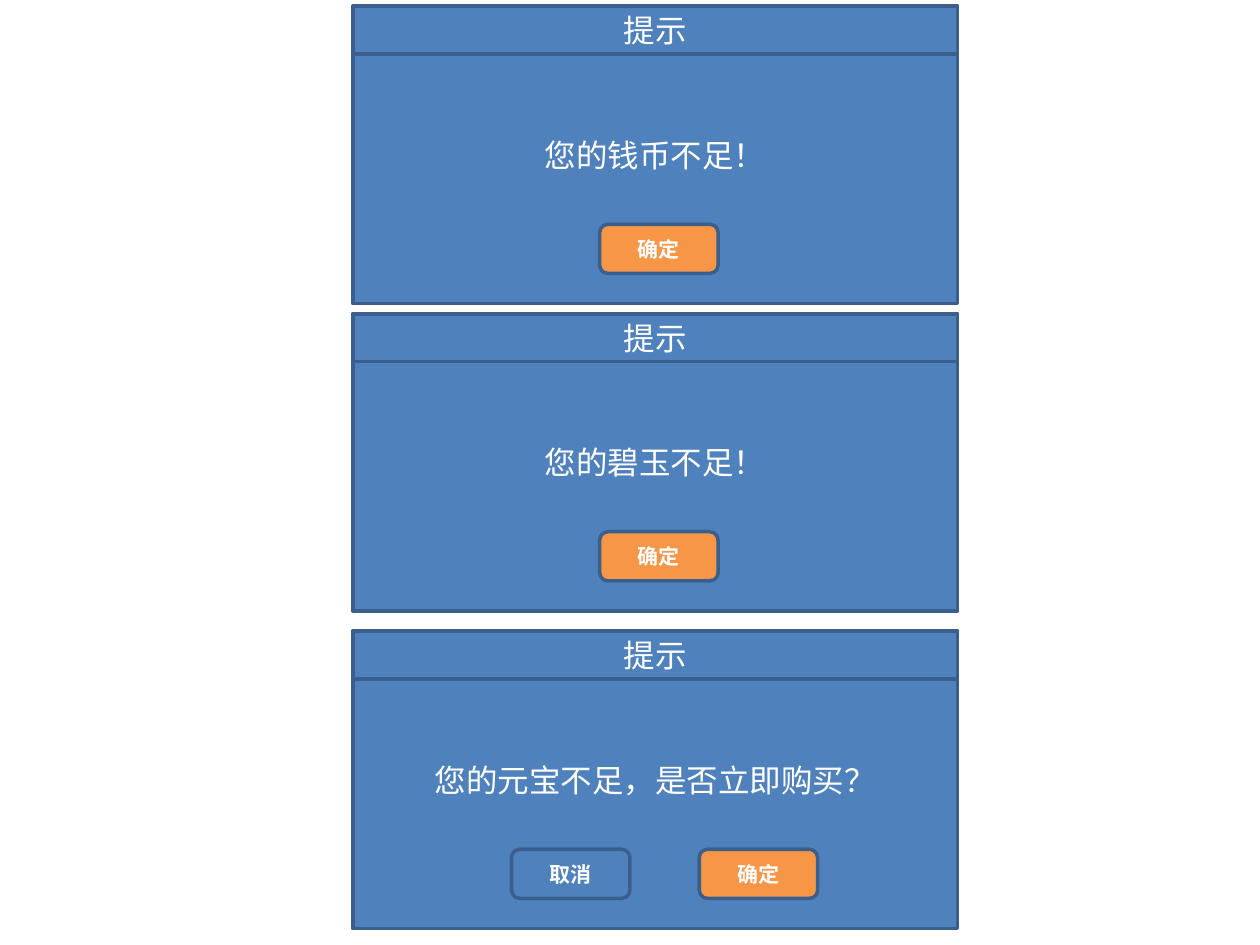
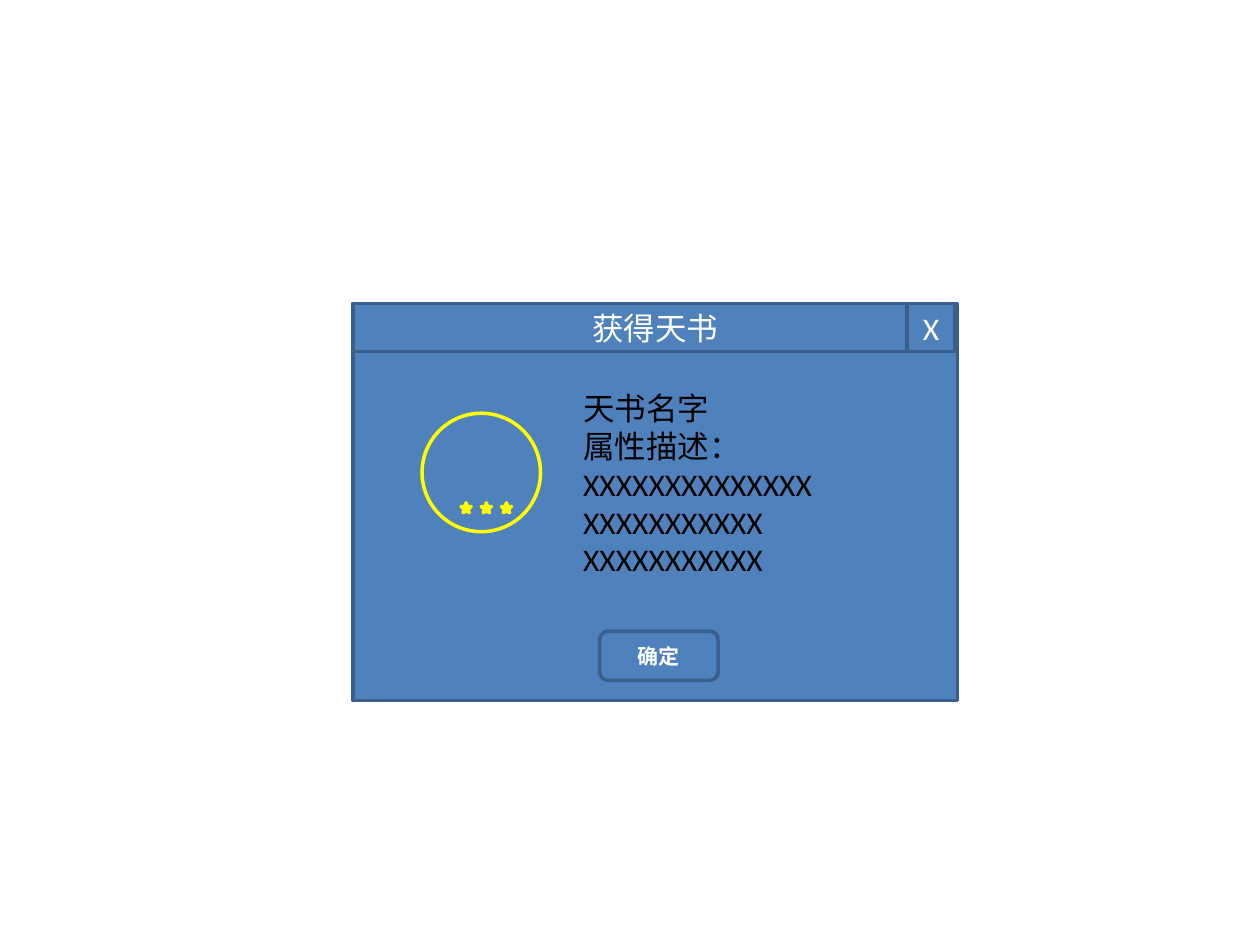
from pptx import Presentation
from pptx.dml.color import RGBColor
from pptx.enum.shapes import MSO_SHAPE
from pptx.enum.text import MSO_ANCHOR, MSO_AUTO_SIZE, PP_ALIGN
from pptx.util import Pt

SCALE = 9144
BLANK = 6
RECT = MSO_SHAPE.RECTANGLE
ROUND = MSO_SHAPE.ROUNDED_RECTANGLE
RING = MSO_SHAPE.FLOWCHART_CONNECTOR
STAR = MSO_SHAPE.STAR_5_POINT
MIDDLE = MSO_ANCHOR.MIDDLE
CENTER = PP_ALIGN.CENTER
GROW = MSO_AUTO_SIZE.SHAPE_TO_FIT_TEXT

BLUE = RGBColor(0x4F, 0x81, 0xBD)
NAVY = RGBColor(0x3A, 0x5F, 0x8C)
ORANGE = RGBColor(0xF7, 0x96, 0x46)
YELLOW = RGBColor(0xFF, 0xFF, 0x00)
WHITE = RGBColor(0xFF, 0xFF, 0xFF)
BLACK = RGBColor(0x00, 0x00, 0x00)

BODY = {"name": "Calibri", "size": Pt(18), "bold": False}
LABEL = {"name": "Calibri", "size": Pt(12), "bold": True}

LEFT, WIDTH = 280, 480
BAR = 38
MID = 476

ALERTS = [
    (5, "您的钱币不足！", [(MID, "确定", ORANGE)]),
    (249, "您的碧玉不足！", [(MID, "确定", ORANGE)]),
    (501, "您的元宝不足，是否立即购买？",
     [(555, "确定", ORANGE), (406, "取消", BLUE)]),
]
DETAILS = ["天书名字", "属性描述：", "X" * 14, "X" * 11, "X" * 11]


def emu(*box):
    return [px * SCALE for px in box]


def style(para, look, color):
    for key, value in look.items():
        setattr(para.font, key, value)
    para.font.color.rgb = color


def draw(slide, kind, box, text="", fill=BLUE, line=NAVY, look=BODY):
    shape = slide.shapes.add_shape(kind, *emu(*box))
    shape.shadow.inherit = False
    shape.fill.solid()
    shape.fill.fore_color.rgb = fill
    shape.line.color.rgb = line
    shape.line.width = Pt(2)
    if text:
        frame = shape.text_frame
        frame.vertical_anchor = MIDDLE
        para = frame.paragraphs[0]
        para.text = text
        para.alignment = CENTER
        style(para, look, WHITE)


def panel(slide, top, height, title, message=""):
    draw(slide, RECT, (LEFT, top, WIDTH, height), message)
    draw(slide, RECT, (LEFT, top, WIDTH, BAR), title)


def button(slide, left, top, text, fill=BLUE):
    draw(slide, ROUND, (left, top, 94, 39), text, fill, look=LABEL)


def alert(slide, top, message, buttons):
    panel(slide, top, 236, "提示", message)
    for left, text, fill in buttons:
        button(slide, left, top + 173, text, fill)


def badge(slide):
    draw(slide, RING, (335, 328, 94, 94), line=YELLOW)
    for i in range(3):
        draw(slide, STAR, (366 + 16 * i, 399, 8, 8), fill=YELLOW, line=YELLOW)


def details(slide, lines):
    frame = slide.shapes.add_textbox(*emu(453, 304, 291, 162)).text_frame
    frame.word_wrap = True
    frame.auto_size = GROW
    frame.text = "\n".join(lines)
    for para in frame.paragraphs:
        style(para, BODY, BLACK)


def reward(slide):
    top = 241
    panel(slide, top, 315, "获得天书")
    draw(slide, RECT, (720, top, BAR, BAR), "X")
    details(slide, DETAILS)
    button(slide, MID, 501, "确定")
    badge(slide)


def main():
    deck = Presentation()
    deck.slide_width, deck.slide_height = emu(1000, 750)
    blank = deck.slide_layouts[BLANK]
    first = deck.slides.add_slide(blank)
    for top, message, buttons in ALERTS:
        alert(first, top, message, buttons)
    reward(deck.slides.add_slide(blank))
    deck.save("out.pptx")


if __name__ == "__main__":
    main()
